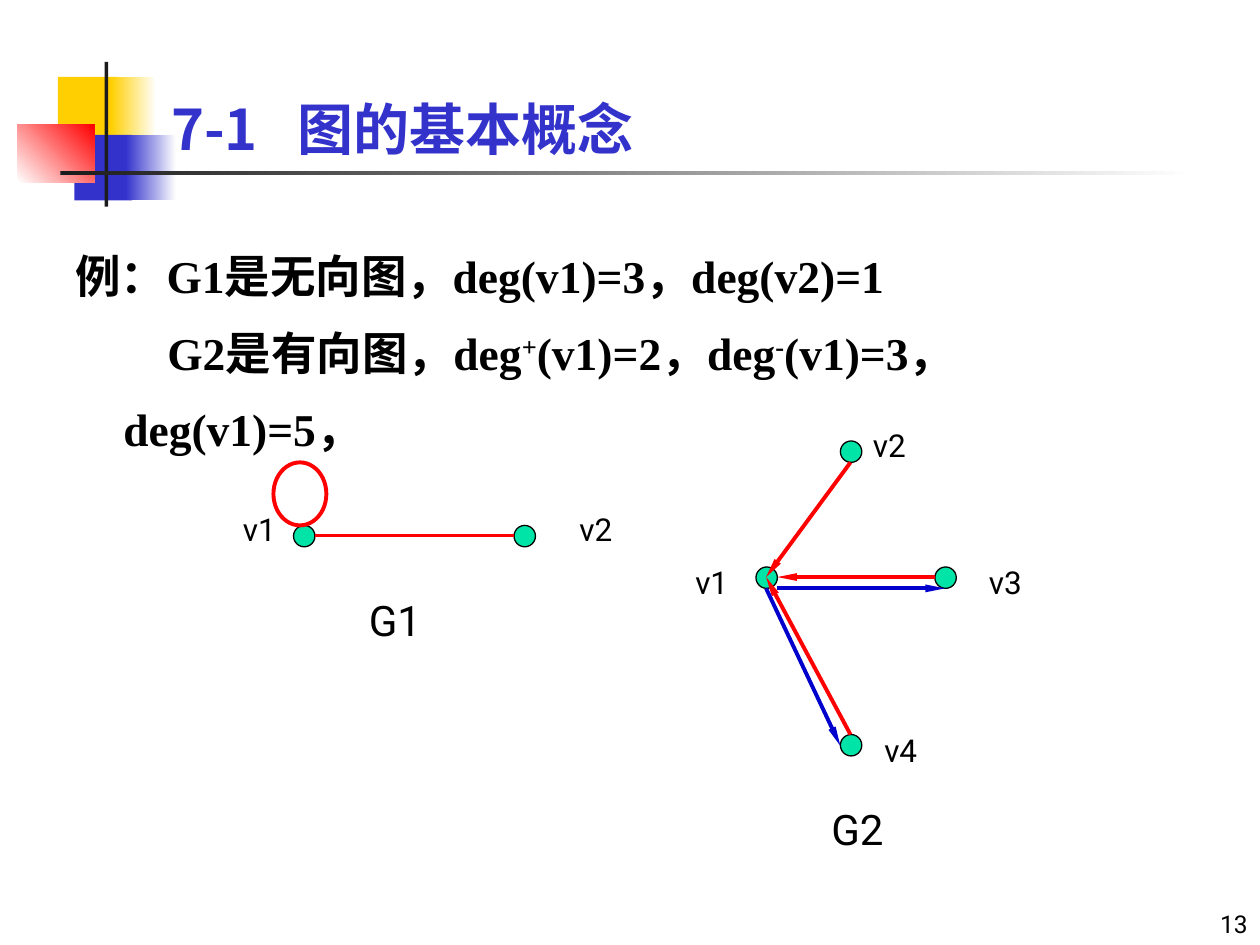
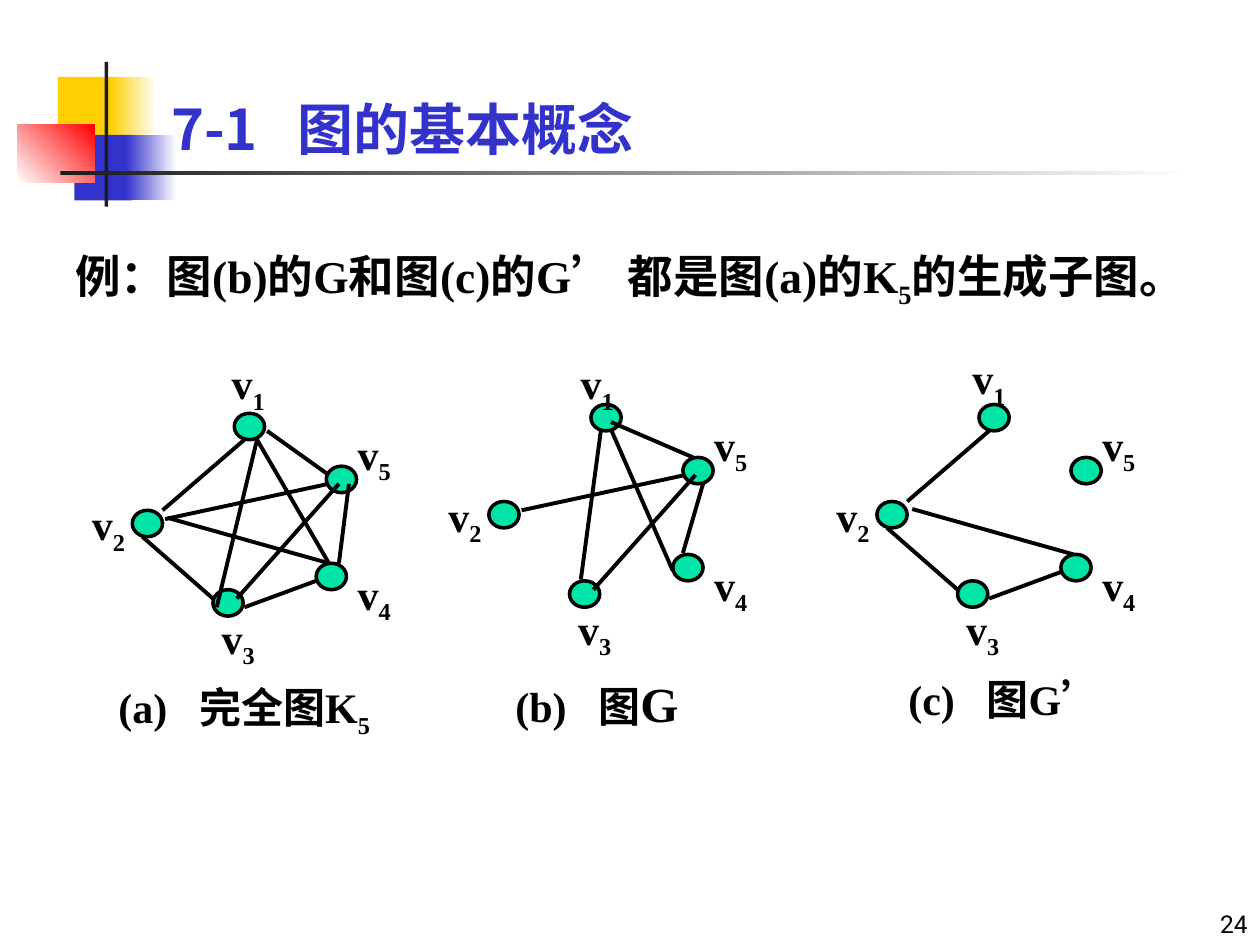
from dataclasses import dataclass, field
from typing import NamedTuple

from lxml.etree import SubElement
from pptx import Presentation
from pptx.dml.color import RGBColor
from pptx.enum.shapes import MSO_CONNECTOR, MSO_SHAPE
from pptx.enum.text import MSO_ANCHOR, PP_ALIGN
from pptx.oxml.ns import qn
from pptx.util import Pt

PX = 9144  # EMU per px, 100 px to the inch
C = {
    "black": "000000", "white": "FFFFFF", "ink": "1C1C1C", "yellow": "FFCF01",
    "title": "3333CC", "red": "FF0000", "blue": "0000CC", "node": "00E4A8",
}
SERIF, SANS, CJK, MONO = "Times New Roman", "Roboto", "Noto Sans CJK SC", "Courier New"
TITLE = "7-1\t图的基本概念"


class Box(NamedTuple):
    x: int
    y: int
    w: int
    h: int


class Run(NamedTuple):
    text: str
    base: int = 0
    font: str = ""
    size: int = 0


class Band(NamedTuple):
    box: Box
    start: str
    end: str = ""
    angle: int = 0


class Edge(NamedTuple):
    x1: int
    y1: int
    x2: int
    y2: int
    color: str = "black"
    arrow: bool = False


class Label(NamedTuple):
    text: str
    box: Box
    size: int = 18


class Caption(NamedTuple):
    runs: list[Run]
    box: Box
    inset: int
    tab: int


@dataclass
class Subgraph:
    """One drawing of the five vertices; edges are named by their end vertices."""
    x: int
    y: int
    v1_label: tuple[int, int]
    edges: str
    caption: Caption
    moved: dict[str, Edge] = field(default_factory=dict)


BANDS = [
    Band(Box(46, 61, 48, 52), "yellow"),
    Band(Box(88, 61, 36, 52), "yellow", "white"),
    Band(Box(59, 107, 46, 52), "title"),
    Band(Box(100, 107, 40, 52), "title", "white"),
    Band(Box(14, 99, 61, 46), "white", "red", 45),
    Band(Box(83, 49, 3, 115), "ink"),
    Band(Box(48, 136, 900, 3), "ink", "white"),
]

# Undirected G1 and directed G2
G_NODES = [(233, 417), (408, 417), (600, 450), (742, 450), (667, 583), (667, 350)]
G1_LOOP = Box(217, 367, 42, 50)
G_EDGES = [
    Edge(250, 425, 408, 425, "red"),
    Edge(675, 583, 608, 458, "red", True),
    Edge(675, 367, 608, 458, "red", True),
    Edge(742, 458, 617, 458, "red", True),
    Edge(617, 467, 750, 467, "blue", True),
    Edge(608, 467, 667, 592, "blue", True),
]
G_LABELS = [
    Label("v1", Box(183, 400, 50, 40)), Label("v2", Box(450, 400, 50, 40)),
    Label("v1", Box(542, 442, 50, 40)), Label("v2", Box(683, 333, 50, 40)),
    Label("v3", Box(775, 442, 50, 40)), Label("v4", Box(692, 575, 50, 40)),
    Label("G1", Box(283, 467, 67, 50), 24), Label("G2", Box(650, 633, 83, 50), 24),
]

# Offsets from the corner of vertex v1
K5_NODES = [(0, 0), (-81, 77), (-17, 140), (65, 119), (73, 42)]
K5_LABELS = [(-127, 63), (-24, 153), (84, 118), (84, 7)]
K5_EDGES = {
    "12": Edge(8, 21, -57, 77), "13": Edge(18, 21, -14, 154),
    "14": Edge(18, 21, 75, 119), "15": Edge(26, 14, 75, 49),
    "23": Edge(-17, 147, -73, 98), "24": Edge(75, 119, -53, 83),
    "25": Edge(75, 56, -55, 84), "34": Edge(65, 133, 8, 154),
    "35": Edge(83, 56, 2, 147), "45": Edge(91, 56, 83, 119),
}
SUBGRAPHS = [
    Subgraph(186, 328, (-16, -49), " ".join(K5_EDGES),
             Caption([Run("(a)\t完全图K"), Run("5", -25)], Box(75, 536, 244, 50), 19, 64)),
    Subgraph(469, 321, (-22, -42), "13 14 15 25 35 45",
             Caption([Run("(b)\t图"), Run("G", size=28)], Box(396, 530, 162, 57), 13, 66),
             {"13": Edge(8, 20, -8, 139), "14": Edge(16, 20, 65, 132),
              "15": Edge(16, 14, 81, 42), "45": Edge(73, 118, 89, 63)}),
    Subgraph(777, 321, (-19, -46), "12 23 24 34",
             Caption([Run("(c)\t图G"), Run("’", font=MONO)], Box(656, 530, 276, 50), 65, 62)),
]


def rgb(name: str) -> RGBColor:
    return RGBColor.from_string(C[name])


def emu(*lengths: int) -> list[int]:
    return [n * PX for n in lengths]


def add_text(s, box: Box, *paragraphs: list[Run], font: str = SERIF, size: int = 24,
             color: str = "black", bold: bool = False, align=PP_ALIGN.LEFT,
             anchor=MSO_ANCHOR.TOP, spacing: float = 1.0, margin: int = 0,
             indents: tuple[int, ...] = (), tab: int = 0, inset: int = 10) -> None:
    """Draw a text box; indents holds one first-line indent per paragraph."""
    tf = s.shapes.add_textbox(*emu(*box)).text_frame
    tf.word_wrap = True
    tf.vertical_anchor = anchor
    tf.margin_left = inset * PX
    for i, runs in enumerate(paragraphs):
        p = tf.paragraphs[0] if i == 0 else tf.add_paragraph()
        p.alignment = align
        p.line_spacing = spacing
        pPr = p._p.get_or_add_pPr()
        if indents:
            pPr.set("marL", str(margin * PX))
            pPr.set("indent", str(indents[i] * PX))
        if tab:
            tabs = SubElement(pPr, qn("a:tabLst"))
            SubElement(tabs, qn("a:tab"), pos=str(tab * PX), algn="l")
        for part in runs:
            r = p.add_run()
            r.text = part.text
            r.font.name = part.font or font
            r.font.size = Pt(part.size or size)
            r.font.bold = bold
            r.font.color.rgb = rgb(color)
            rPr = r._r.get_or_add_rPr()
            SubElement(rPr, qn("a:ea"), typeface=CJK)
            if part.base:
                rPr.set("baseline", str(part.base * 1000))


def add_band(s, band: Band) -> None:
    sp = s.shapes.add_shape(MSO_SHAPE.RECTANGLE, *emu(*band.box))
    sp.shadow.inherit = False
    sp.line.fill.background()
    if not band.end:
        sp.fill.solid()
        sp.fill.fore_color.rgb = rgb(band.start)
        return
    sp.fill.gradient()
    sp.fill.gradient_angle = band.angle
    for stop, name, position in zip(sp.fill.gradient_stops, (band.start, band.end), (0, 1)):
        stop.color.rgb = rgb(name)
        stop.position = position


def add_oval(s, box: Box, fill: str = "node", line: str = "black", width: float = 0.75) -> None:
    sp = s.shapes.add_shape(MSO_SHAPE.OVAL, *emu(*box))
    sp.shadow.inherit = False
    sp.fill.solid()
    sp.fill.fore_color.rgb = rgb(fill)
    sp.line.color.rgb = rgb(line)
    sp.line.width = Pt(width)


def add_edge(s, edge: Edge, dx: int = 0, dy: int = 0) -> None:
    ends = emu(edge.x1 + dx, edge.y1 + dy, edge.x2 + dx, edge.y2 + dy)
    cxn = s.shapes.add_connector(MSO_CONNECTOR.STRAIGHT, *ends)
    cxn.line.color.rgb = rgb(edge.color)
    cxn.line.width = Pt(2.25)
    if edge.arrow:
        SubElement(cxn.line._get_or_add_ln(), qn("a:tailEnd"),
                   type="triangle", w="sm", len="lg")
    SubElement(cxn._element.spPr, qn("a:effectLst"))


def add_base_slide(prs, number: int):
    """Add a slide with the bands, title and slide number that all slides share."""
    s = prs.slides.add_slide(prs.slide_layouts[6])
    for band in BANDS:
        add_band(s, band)
    add_text(s, Box(792, 700, 208, 50), [Run(str(number))], font=SANS, size=14,
             align=PP_ALIGN.RIGHT, anchor=MSO_ANCHOR.BOTTOM)
    add_text(s, Box(126, 8, 852, 125), [Run(TITLE)], font=CJK, size=32, color="title",
             bold=True, anchor=MSO_ANCHOR.BOTTOM, tab=100)
    return s


def add_subgraph(s, graph: Subgraph) -> None:
    for dx, dy in K5_NODES:
        add_oval(s, Box(graph.x + dx, graph.y + dy, 24, 21), width=2)
    edges = K5_EDGES | graph.moved
    for name in graph.edges.split():
        add_edge(s, edges[name], graph.x, graph.y)
    for i, (dx, dy) in enumerate([graph.v1_label, *K5_LABELS], start=1):
        add_text(s, Box(graph.x + dx, graph.y + dy, 54, 50), [Run("v"), Run(str(i), -25)],
                 bold=True, align=PP_ALIGN.CENTER)
    caption = graph.caption
    add_text(s, caption.box, caption.runs, bold=True, tab=caption.tab, inset=caption.inset)


def build_degree_slide(prs) -> None:
    s = add_base_slide(prs, 13)
    add_text(s, Box(50, 175, 892, 450),
             [Run("例：G1是无向图，deg(v1)=3，deg(v2)=1")],
             [Run("G2是有向图，deg"), Run("+", 30), Run("(v1)=2，deg"), Run("-", 30),
              Run("(v1)=3，deg(v1)=5，")],
             size=26, bold=True, spacing=1.4, margin=38, indents=(-38, 35))
    for x, y in G_NODES:
        add_oval(s, Box(x, y, 17, 17))
    for edge in G_EDGES:
        add_edge(s, edge)
    add_oval(s, G1_LOOP, "white", "red", 2.25)
    for label in G_LABELS:
        add_text(s, label.box, [Run(label.text)], font=SANS, size=label.size)


def build_spanning_slide(prs) -> None:
    s = add_base_slide(prs, 24)
    add_text(s, Box(50, 192, 892, 450),
             [Run("例：图(b)的G和图(c)的G"), Run("’", font=CJK), Run(" 都是图(a)的K"),
              Run("5", -25), Run("的生成子图。")],
             size=26, bold=True, margin=38, indents=(-38,))
    for graph in SUBGRAPHS:
        add_subgraph(s, graph)


def main() -> None:
    prs = Presentation()
    prs.slide_width, prs.slide_height = emu(1000, 750)
    build_degree_slide(prs)
    build_spanning_slide(prs)
    prs.save("out.pptx")


if __name__ == "__main__":
    main()
